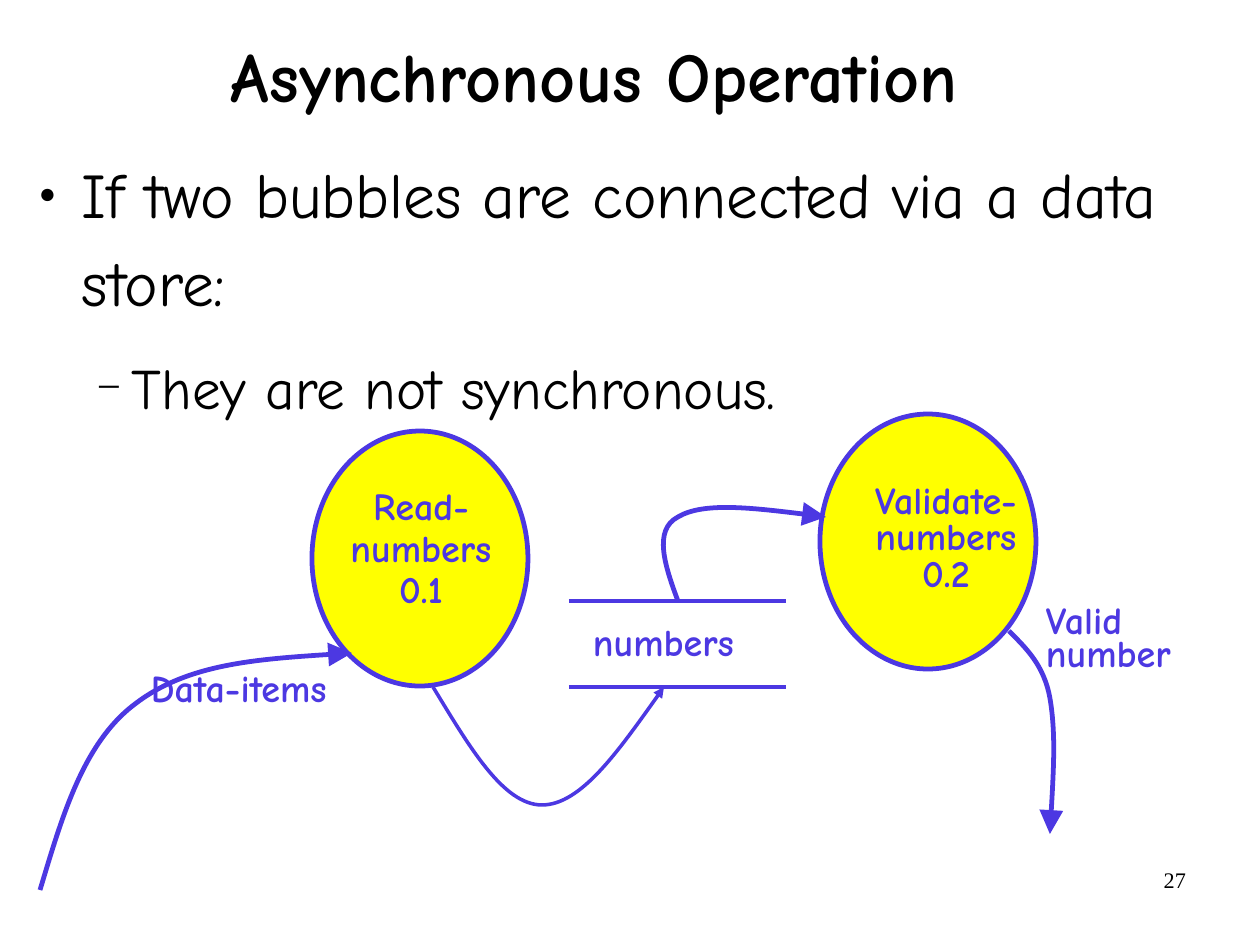
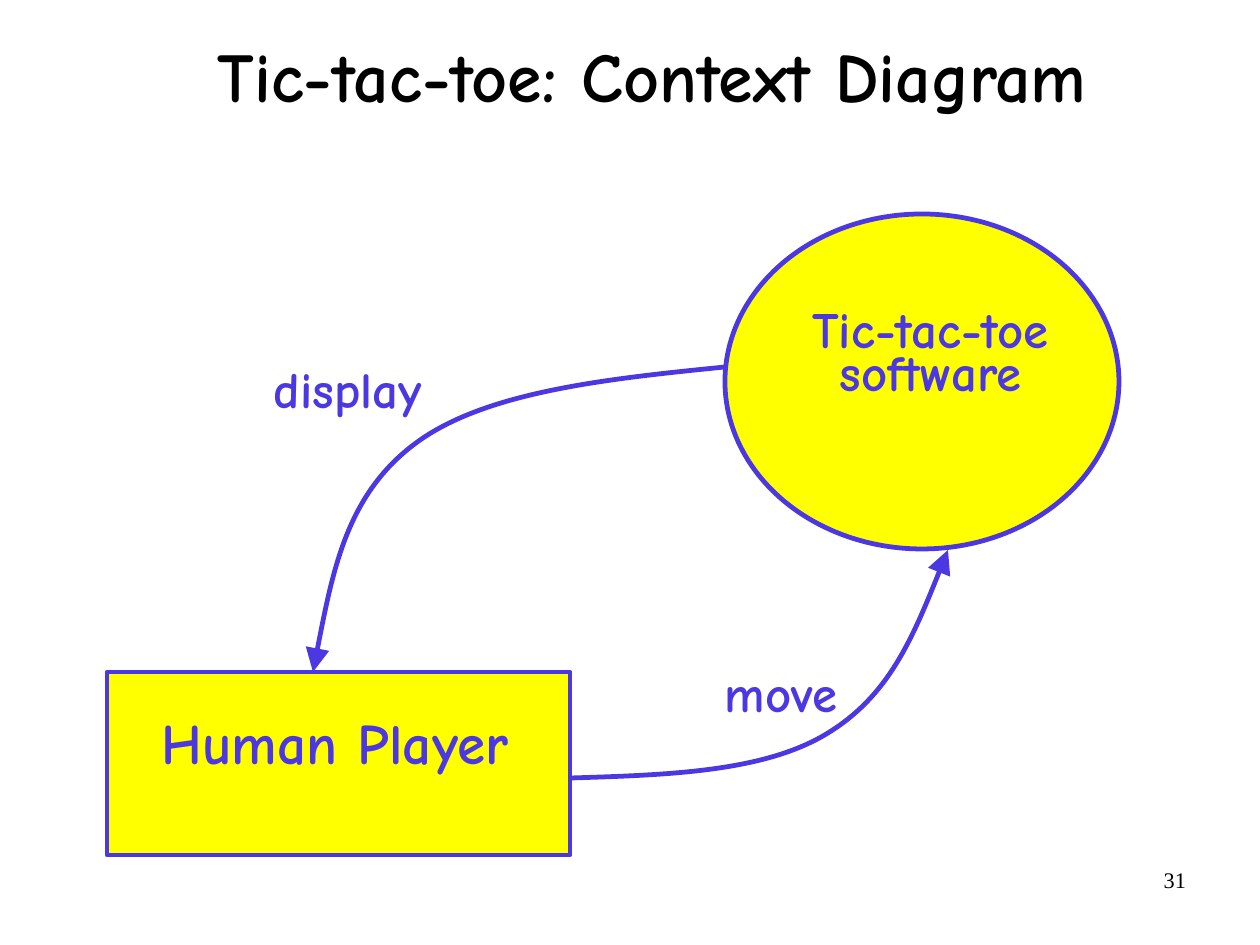
"""Builds two data flow diagram slides."""
from dataclasses import dataclass

from lxml import etree
from pptx import Presentation
from pptx import util as u
from pptx.dml.color import RGBColor
from pptx.enum import shapes, text
from pptx.oxml import ns

PX = 8000
FONT = "Comic Neue"
SERIF = "Times New Roman"
BLACK, INK, YELLOW = "000000", "4C38E2", "FFFF00"
OVAL = shapes.MSO_SHAPE.OVAL
RECTANGLE = shapes.MSO_SHAPE.RECTANGLE
LEFT, CENTER, RIGHT = text.PP_ALIGN.LEFT, text.PP_ALIGN.CENTER, text.PP_ALIGN.RIGHT
Point = tuple[int, int]
Area = tuple[int, int, int, int]


@dataclass(frozen=True)
class Node:
    """A filled process or actor."""
    kind: shapes.MSO_SHAPE
    area: Area


@dataclass(frozen=True)
class Flow:
    """A curved arrow: a start, then two controls and an end per curve."""
    points: tuple[Point, ...]
    weight: float = 3
    head: str = "lg"


@dataclass(frozen=True)
class Label:
    """A text on the diagram."""
    words: str
    area: Area
    size: int
    spacing: float = 0.72
    align: text.PP_ALIGN = LEFT


@dataclass(frozen=True)
class Bullet:
    """A paragraph of the bullet list; lengths in px, spacing in points."""
    words: str
    size: int
    mark: str
    mark_percent: int
    indent: int
    hang: int
    before: float
    after: float


@dataclass(frozen=True)
class Diagram:
    """The content of one slide."""
    title: str
    title_left: int
    number: str
    nodes: tuple[Node, ...]
    flows: tuple[Flow, ...]
    labels: tuple[Label, ...]
    rails: tuple[tuple[Point, Point], ...] = ()
    bullets: tuple[Bullet, ...] = ()


DIAGRAMS = (
    Diagram(
        "Asynchronous Operation", 59, "27",
        nodes=(Node(OVAL, (312, 431, 216, 255)), Node(OVAL, (820, 414, 216, 255))),
        flows=(
            Flow(((40, 890), (62, 817), (83, 743), (135, 704),
                  (187, 664), (270, 658), (352, 653))),
            Flow(((1009, 631), (1026, 648), (1044, 665), (1050, 698),
                  (1056, 733), (1053, 784), (1050, 834))),
            Flow(((678, 601), (665, 566), (653, 530), (678, 517),
                  (703, 502), (765, 509), (826, 517))),
            Flow(((433, 687), (469, 746), (503, 805), (542, 805),
                  (581, 805), (622, 746), (664, 687)), 2.25, "med"),
        ),
        labels=(
            Label("Data-items", (149, 669, 216, 157), 24),
            Label("Read-numbers\n0.1", (313, 481, 216, 224), 24, 0.9, CENTER),
            Label("Validate-numbers\n0.2", (838, 478, 216, 285), 24, 0.8, CENTER),
            Label("Valid number", (1044, 601, 216, 157), 24),
            Label("numbers", (591, 623, 269, 66), 24),
        ),
        rails=(((569, 601), (786, 601)), ((569, 687), (786, 687))),
        bullets=(
            Bullet("If two bubbles are connected via a data store:",
                   40, "●", 45, 43, 43, 0, 7.5),
            Bullet("They are not synchronous.", 36, "−", 75, 93, 35, 7.1, 6.8),
        ),
    ),
    Diagram(
        "Tic-tac-toe: Context Diagram", 117, "31",
        nodes=(Node(OVAL, (725, 214, 394, 335)), Node(RECTANGLE, (107, 672, 463, 183))),
        flows=(
            Flow(((725, 367), (605, 379), (485, 392), (416, 443),
                  (347, 494), (330, 583), (313, 672))),
            Flow(((570, 778), (668, 775), (765, 772), (828, 733),
                  (890, 695), (919, 623), (948, 550))),
        ),
        labels=(
            Label("Human Player", (95, 718, 480, 90), 36, align=CENTER),
            Label("Tic-tac-toe software", (742, 306, 377, 163), 32, align=CENTER),
            Label("display", (272, 366, 309, 90), 32),
            Label("move", (723, 670, 360, 90), 32),
        ),
    ),
)


def px(length: int) -> u.Emu:
    """Turns px into EMU."""
    return u.Emu(length * PX)


def color(code: str) -> RGBColor:
    """Turns a hex string into a colour."""
    return RGBColor.from_string(code)


def child(parent, tag: str, **attributes: str):
    """Adds a drawing element below a parent."""
    return etree.SubElement(parent, ns.qn(tag), attributes)


def add_span(para, words: str, size: int, code: str = INK,
             bold: bool = False, font: str = FONT) -> None:
    """Adds one formatted run."""
    span = para.add_run()
    span.text = words
    span.font.name, span.font.size, span.font.bold = font, u.Pt(size), bold
    span.font.color.rgb = color(code)


def set_frame(frame, inset: Point = (2, 7)) -> None:
    """Sets wrapping and margins of a text frame."""
    frame.word_wrap = True
    frame.auto_size = text.MSO_AUTO_SIZE.NONE
    frame.margin_left = frame.margin_right = px(inset[0])
    frame.margin_top = frame.margin_bottom = px(inset[1])


def add_box(page, area: Area, inset: Point = (2, 7)):
    """Adds a text box and returns its frame."""
    frame = page.shapes.add_textbox(*map(px, area)).text_frame
    set_frame(frame, inset)
    return frame


def set_title(page, words: str, left: int) -> None:
    """Places and formats the title."""
    title = page.shapes.title
    title.left, title.top, title.width, title.height = map(px, (left, 0, 1071, 157))
    set_frame(title.text_frame)
    title.text_frame.vertical_anchor = text.MSO_ANCHOR.MIDDLE
    para = title.text_frame.paragraphs[0]
    para.alignment, para.line_spacing, para.space_before = CENTER, 0.94, u.Pt(0)
    add_span(para, words, 44, BLACK, True)


def add_number(page, number: str) -> None:
    """Adds the slide number."""
    para = add_box(page, (903, 860, 294, 65), (11, 6)).paragraphs[0]
    para.alignment = RIGHT
    add_span(para, number, 14, BLACK, font=SERIF)


def add_bullets(page, bullets: tuple[Bullet, ...]) -> None:
    """Adds the bullet list."""
    frame = add_box(page, (37, 137, 1223, 628))
    for index, bullet in enumerate(bullets):
        para = frame.add_paragraph() if index else frame.paragraphs[0]
        para.level, para.line_spacing = index, 1.15
        para.space_before, para.space_after = u.Pt(bullet.before), u.Pt(bullet.after)
        props = para._p.get_or_add_pPr()
        props.set("marL", str(px(bullet.indent)))
        props.set("indent", str(px(-bullet.hang)))
        child(child(props, "a:buClr"), "a:srgbClr", val=BLACK)
        child(props, "a:buSzPct", val=str(bullet.mark_percent * 1000))
        child(props, "a:buFont", typeface=SERIF)
        child(props, "a:buChar", char=bullet.mark)
        add_span(para, bullet.words, bullet.size, BLACK)


def set_line(shape, weight: float) -> None:
    """Gives a shape or connector the ink line."""
    shape.line.color.rgb = color(INK)
    shape.line.width = u.Pt(weight)


def add_node(page, node: Node) -> None:
    """Adds a filled outline."""
    shape = page.shapes.add_shape(node.kind, *map(px, node.area))
    shape.shadow.inherit = False
    shape.fill.solid()
    shape.fill.fore_color.rgb = color(YELLOW)
    set_line(shape, 3)


def add_rail(page, start: Point, end: Point) -> None:
    """Adds one edge of a data store."""
    rail = page.shapes.add_connector(
        shapes.MSO_CONNECTOR.STRAIGHT, *map(px, start + end))
    set_line(rail, 2.25)
    child(rail.element.spPr, "a:effectLst")


def add_flow(page, flow: Flow) -> None:
    """Adds a curved arrow, each three segments merged into one Bezier curve."""
    builder = page.shapes.build_freeform(*flow.points[0], scale=PX)
    builder.add_line_segments(flow.points[1:], close=False)
    shape = builder.convert_to_shape()
    segments = list(shape.element.iter(ns.qn("a:lnTo")))
    for start in range(0, len(segments), 3):
        curve = etree.Element(ns.qn("a:cubicBezTo"))
        segments[start].addprevious(curve)
        for segment in segments[start:start + 3]:
            curve.append(segment[0])
            segment.getparent().remove(segment)
    shape.shadow.inherit = False
    shape.fill.background()
    set_line(shape, flow.weight)
    line = shape.element.spPr.find(ns.qn("a:ln"))
    child(line, "a:tailEnd", type="triangle", w=flow.head, len=flow.head)


def add_label(page, label: Label) -> None:
    """Adds a bold label, its lines parted by line breaks."""
    para = add_box(page, label.area).paragraphs[0]
    para.alignment, para.line_spacing = label.align, label.spacing
    for index, words in enumerate(label.words.split("\n")):
        if index:
            para.add_line_break()
        add_span(para, words, label.size, bold=True)


def add_diagram(deck, diagram: Diagram) -> None:
    """Adds one slide."""
    page = deck.slides.add_slide(deck.slide_layouts.get_by_name("Title Only"))
    set_title(page, diagram.title, diagram.title_left)
    add_number(page, diagram.number)
    if diagram.bullets:
        add_bullets(page, diagram.bullets)
    for node in diagram.nodes:
        add_node(page, node)
    for start, end in diagram.rails:
        add_rail(page, start, end)
    for flow in diagram.flows:
        add_flow(page, flow)
    for label in diagram.labels:
        add_label(page, label)


def main() -> None:
    """Builds and saves the deck."""
    deck = Presentation()
    deck.slide_width, deck.slide_height = px(1260), px(945)
    for diagram in DIAGRAMS:
        add_diagram(deck, diagram)
    deck.save("out.pptx")


if __name__ == "__main__":
    main()
